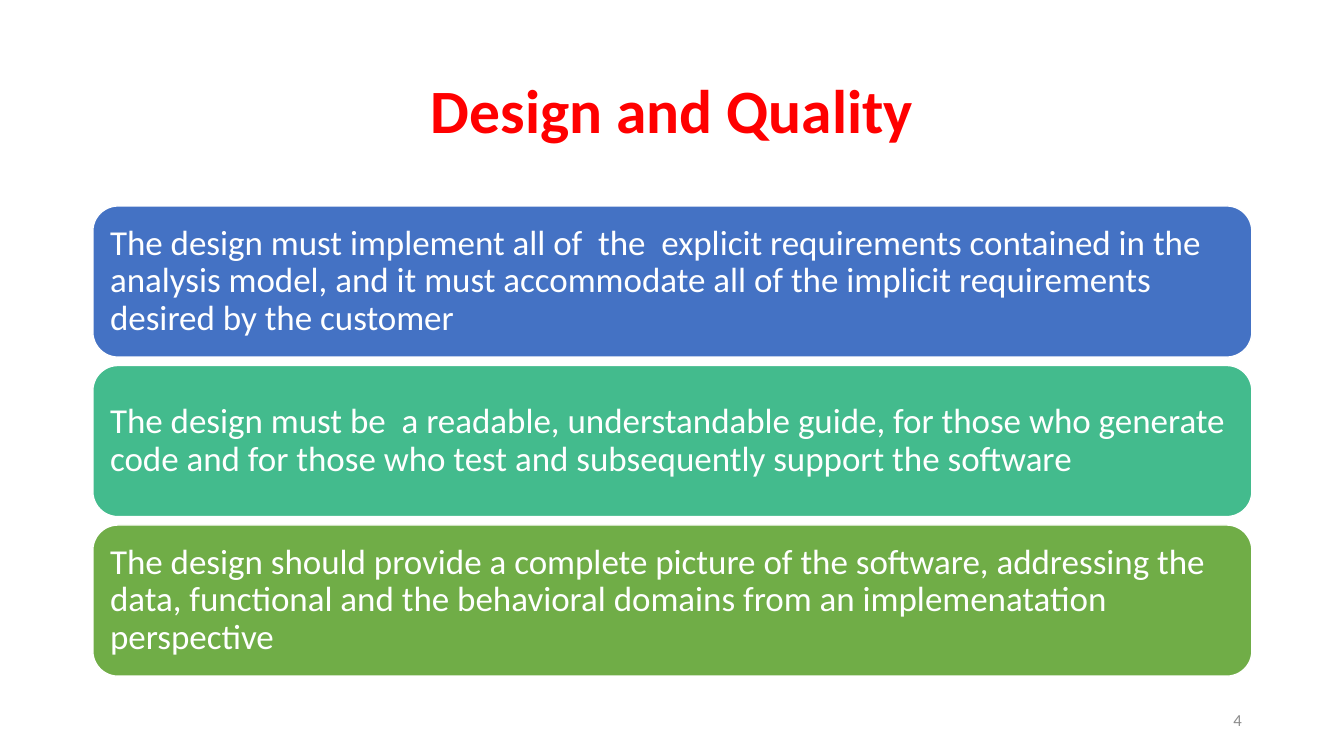
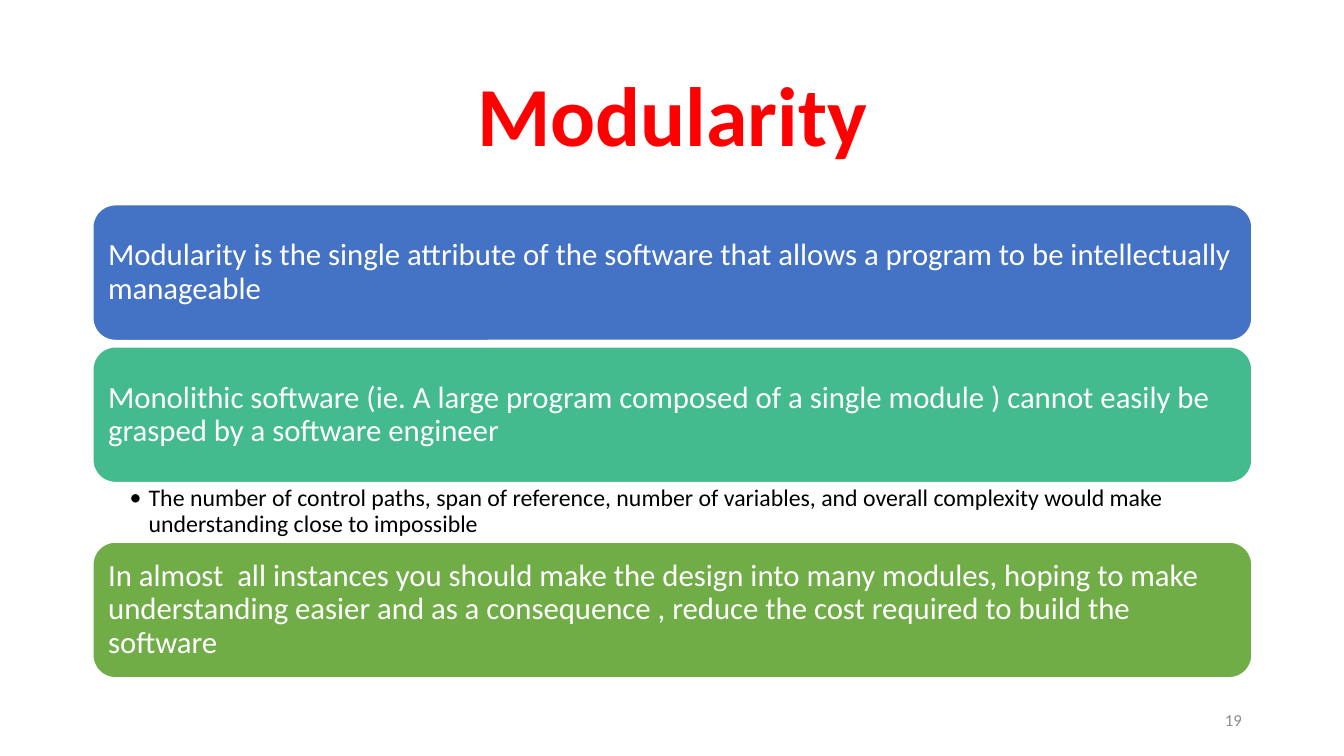
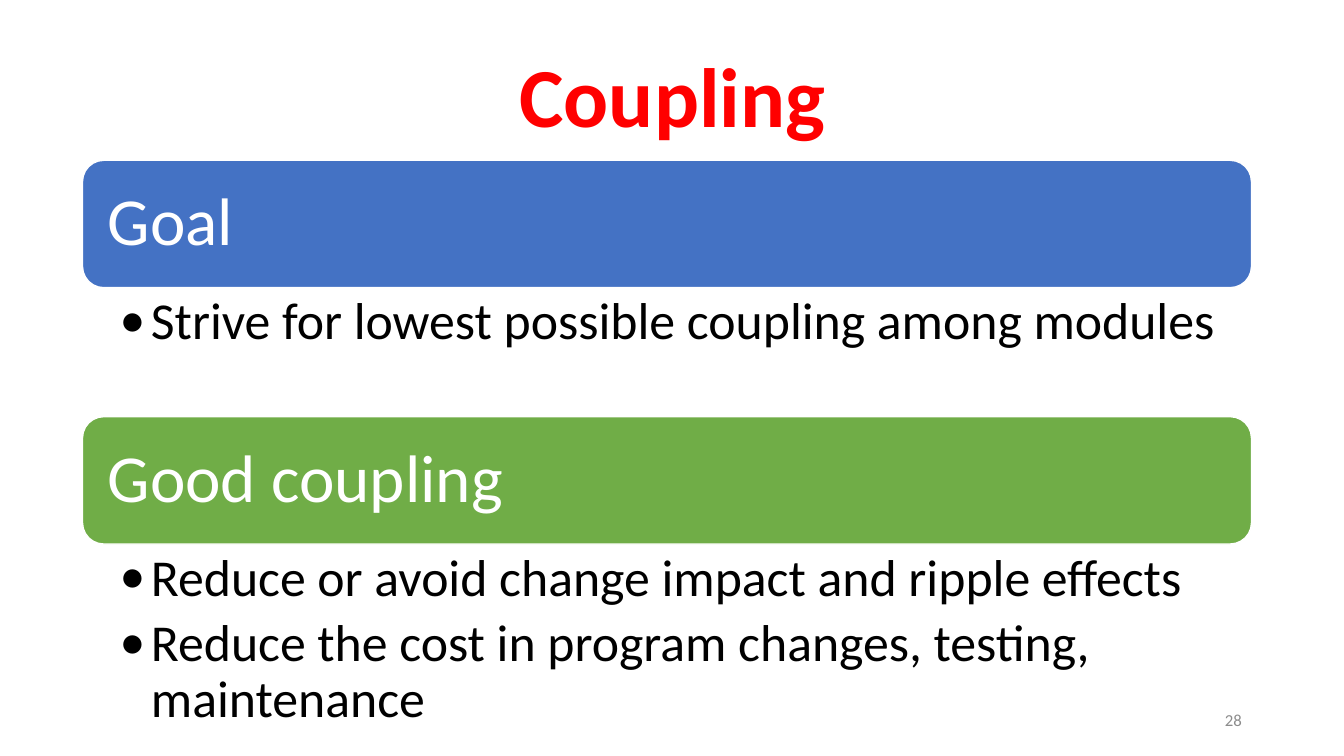
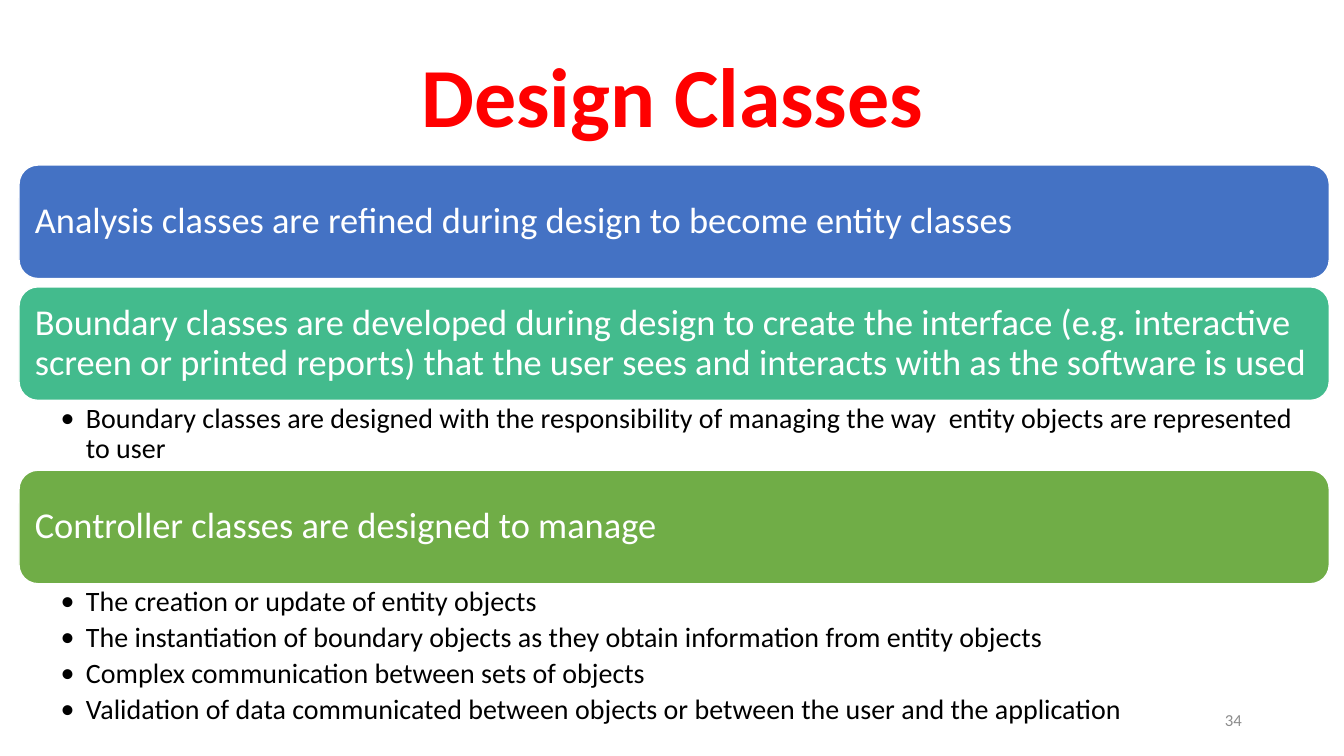
from lxml.etree import SubElement
from pptx import Presentation
from pptx.dml.color import RGBColor
from pptx.enum.shapes import MSO_SHAPE
from pptx.enum.text import MSO_ANCHOR, MSO_AUTO_SIZE, PP_ALIGN
from pptx.oxml.ns import qn
from pptx.util import Cm, Pt

FONT = "Calibri"
RED, WHITE, BLACK, GRAY = "FF0000", "FFFFFF", "000000", "8C8C8C"
BLUE, TEAL, GREEN = "4472C4", "43BB8D", "70AD47"

SLIDES = [
    {
        "title": "Design and Quality", "title_size": 44, "title_height": 3.68, "number": "4",
        "left": 2.34, "top": 5.19, "width": 29.21, "band_height": 3.81, "gap": 0.21,
        "band_size": 25, "bullet_size": 20, "indent": 0.64,
        "bands": [
            (BLUE, "The design must implement all of  the  explicit requirements contained in the analysis model, and it must accommodate all of the implicit requirements desired by the customer", 0, []),
            (TEAL, "The design must be  a readable, understandable guide, for those who generate code and for those who test and subsequently support the software", 0, []),
            (GREEN, "The design should provide a complete picture of the software, addressing the data, functional and the behavioral domains from an implemenatation perspective", 0, []),
        ],
    },
    {
        "title": "Modularity", "title_size": 60, "title_height": 3.96, "number": "19",
        "left": 2.34, "top": 5.16, "width": 29.21, "band_height": 3.42, "gap": 0.16,
        "band_size": 22, "bullet_size": 17, "indent": 0.48,
        "bands": [
            (BLUE, "Modularity is the single attribute of the software that allows a program to be intellectually manageable", 0, []),
            (TEAL, "Monolithic software (ie. A large program composed of a single module ) cannot easily be grasped by a software engineer", 1.5, [
                "The number of control paths, span of reference, number of variables, and overall complexity would make understanding close to impossible",
            ]),
            (GREEN, "In almost  all instances you should make the design into many modules, hoping to make understanding easier and as a consequence , reduce the cost required to build the software", 0, []),
        ],
    },
    {
        "title": "Coupling", "title_size": 60, "title_height": 3.02, "number": "28",
        "left": 2.08, "top": 4.04, "width": 29.46, "band_height": 3.21, "gap": 0,
        "band_size": 48, "bullet_size": 37, "indent": 0.79,
        "bands": [
            (BLUE, "Goal", 3.25, ["Strive for lowest possible coupling among modules"]),
            (GREEN, "Good coupling", 4.98, [
                "Reduce or avoid change impact and ripple effects",
                "Reduce the cost in program changes, testing, maintenance",
            ]),
        ],
    },
    {
        "title": "Design Classes", "title_size": 60, "title_height": 3.02, "number": "34",
        "left": 0.48, "top": 4.16, "width": 33.02, "band_height": 2.86, "gap": 0.21,
        "band_size": 26, "bullet_size": 20, "indent": 0.64,
        "bands": [
            (BLUE, "Analysis classes are refined during design to become entity classes", 0, []),
            (TEAL, "Boundary classes are developed during design to create the interface (e.g. interactive screen or printed reports) that the user sees and interacts with as the software is used", 1.76, [
                "Boundary classes are designed with the responsibility of managing the way  entity objects are represented to user",
            ]),
            (GREEN, "Controller classes are designed to manage", 3.81, [
                "The creation or update of entity objects",
                "The instantiation of boundary objects as they obtain information from entity objects",
                "Complex communication between sets of objects",
                "Validation of data communicated between objects or between the user and the application",
            ]),
        ],
    },
]


def color(value):
    return RGBColor.from_string(value)


def write(shape, lines, size, text_color, anchor=MSO_ANCHOR.MIDDLE, align=PP_ALIGN.LEFT,
          insets=(0.25, 0.13, 0.25, 0.13), indent=0):
    frame = shape.text_frame
    frame.word_wrap = True
    frame.auto_size = MSO_AUTO_SIZE.NONE
    frame.vertical_anchor = anchor
    frame.margin_left, frame.margin_top, frame.margin_right, frame.margin_bottom = map(Cm, insets)
    frame.text = "\n".join(lines)
    for paragraph in frame.paragraphs:
        paragraph.alignment = align
        paragraph.line_spacing = 0.9
        if indent:
            paragraph.space_after = Pt(round(size * 0.2))
            properties = paragraph._p.get_or_add_pPr()
            properties.set("marL", str(Cm(indent)))
            properties.set("indent", str(-Cm(indent)))
            SubElement(properties, qn("a:buFont"), typeface=FONT)
            SubElement(properties, qn("a:buChar"), char="•")
        paragraph.font.name = FONT
        paragraph.font.size = Pt(size)
        paragraph.font.color.rgb = color(text_color)


presentation = Presentation()
presentation.slide_width = Cm(33.87)
presentation.slide_height = Cm(19.05)
title_only = presentation.slide_layouts[5]

for content in SLIDES:
    slide = presentation.slides.add_slide(title_only)
    title = slide.shapes.title
    title.left, title.top = Cm(2.34), Cm(1.02)
    title.width, title.height = Cm(29.21), Cm(content["title_height"])
    write(title, [content["title"]], content["title_size"], RED, align=PP_ALIGN.CENTER)
    title.text_frame.paragraphs[0].font.bold = True

    left, width, top = content["left"], content["width"], content["top"]
    band_size, bullet_size = content["band_size"], content["bullet_size"]
    band_inset = band_size * 0.01
    bullet_inset = bullet_size * 0.005
    for fill, heading, bullets_height, bullets in content["bands"]:
        band = slide.shapes.add_shape(MSO_SHAPE.ROUNDED_RECTANGLE, Cm(left), Cm(top),
                                      Cm(width), Cm(content["band_height"]))
        band.shadow.inherit = False
        band.fill.solid()
        band.fill.fore_color.rgb = color(fill)
        band.line.color.rgb = color(WHITE)
        band.line.width = Pt(1)
        write(band, [heading], band_size, WHITE, insets=[band_inset] * 4)
        top += content["band_height"]
        if bullets:
            bullet_box = slide.shapes.add_textbox(Cm(left), Cm(top), Cm(width), Cm(bullets_height))
            write(bullet_box, bullets, bullet_size, BLACK, MSO_ANCHOR.TOP,
                  insets=(width / 31.5, bullet_inset, bullet_size * 0.025, bullet_inset),
                  indent=content["indent"])
            top += bullets_height
        else:
            top += content["gap"]

    number_box = slide.shapes.add_textbox(Cm(23.93), Cm(17.65), Cm(7.62), Cm(1.02))
    write(number_box, [content["number"]], 12, GRAY, align=PP_ALIGN.RIGHT)

presentation.save("out.pptx")
